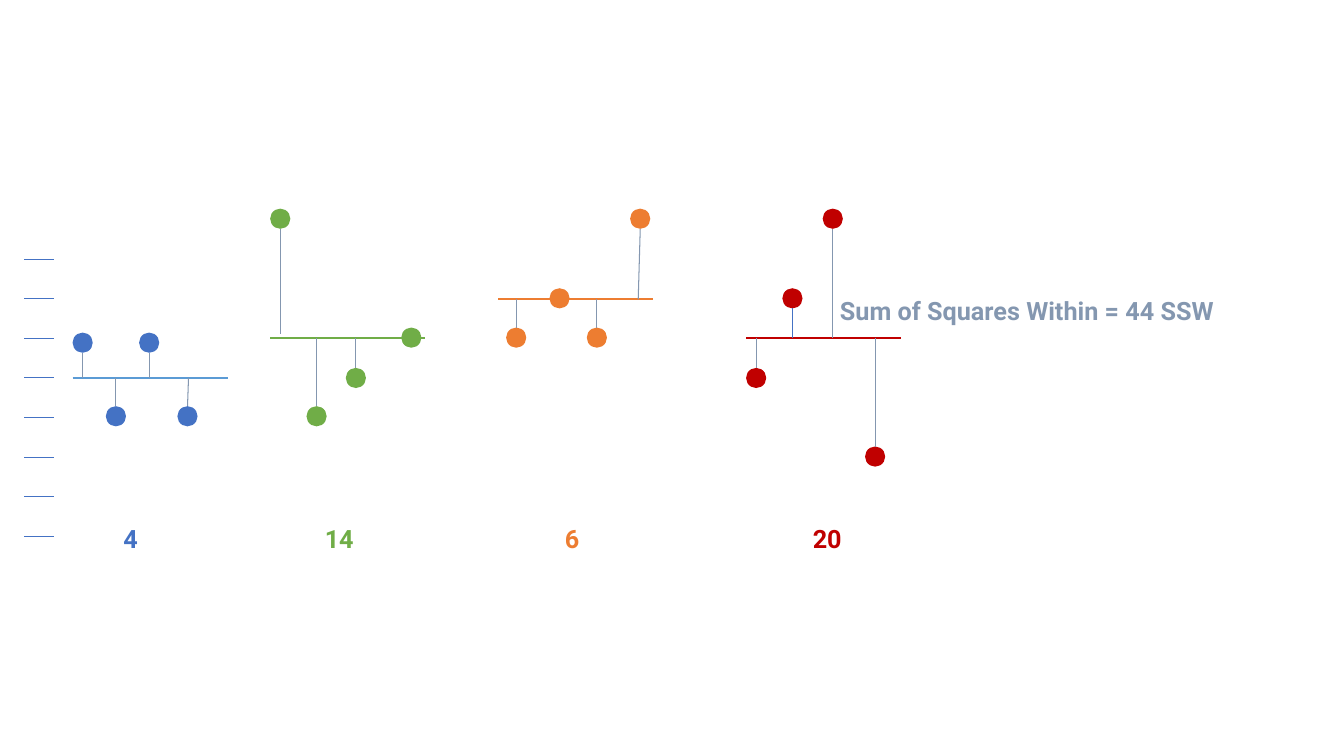
from collections import namedtuple
from lxml.etree import SubElement
from pptx import Presentation
from pptx.dml.color import RGBColor
from pptx.enum.shapes import MSO_CONNECTOR, MSO_SHAPE
from pptx.enum.text import MSO_AUTO_SIZE, PP_ALIGN
from pptx.oxml.ns import qn
from pptx.util import Inches, Pt

BLUE, GREEN, ORANGE, RED = "4472C4", "70AD47", "ED7D31", "C00000"
LIGHT_BLUE, GREY = "5B9BD5", "8497B0"
DOT = 0.2

Dot = namedtuple("Dot", "x y stem lean gap", defaults=(GREY, 0, 0))
Group = namedtuple("Group", "left color mean_color mean label_x label dots")


def rgb(value):
    return RGBColor.from_string(value)


def add_line(s, x1, y1, x2, y2, color, width):
    line = s.shapes.add_connector(
        MSO_CONNECTOR.STRAIGHT, Inches(x1), Inches(y1), Inches(x2), Inches(y2))
    line.line.color.rgb = rgb(color)
    line.line.width = Pt(width)
    SubElement(line._element.spPr, qn("a:effectLst"))


def add_dot(s, x, y, color):
    sp = s.shapes.add_shape(
        MSO_SHAPE.OVAL, Inches(x - DOT / 2), Inches(y - DOT / 2), Inches(DOT), Inches(DOT))
    sp.shadow.inherit = False
    sp.fill.solid()
    sp.fill.fore_color.rgb = rgb(color)
    sp.line.fill.background()


def add_text(s, text, left, top, width, height, color, size=18, bold=True, font="Roboto"):
    sp = s.shapes.add_textbox(Inches(left), Inches(top), Inches(width), Inches(height))
    tf = sp.text_frame
    tf.word_wrap = True
    tf.auto_size = MSO_AUTO_SIZE.SHAPE_TO_FIT_TEXT
    p = tf.paragraphs[0]
    p.alignment = PP_ALIGN.CENTER
    r = p.add_run()
    r.text = text
    r.font.name = font
    r.font.size = Pt(size)
    r.font.bold = bold
    r.font.color.rgb = rgb(color)


def add_scale(s, left, top, width, height, ticks=8):
    for i in range(ticks):
        y = top + i * height / (ticks - 1)
        add_line(s, left, y, left + width, y, BLUE, 0.5)


def add_group(s, group, top, width, label_top):
    left, mean_y = group.left, top + group.mean
    for dot in group.dots:
        add_dot(s, left + dot.x, top + dot.y, group.color)
    add_line(s, left, mean_y, left + width, mean_y, group.mean_color, 1.5)
    for dot in group.dots:
        if dot.stem:
            side = 1 if dot.y > group.mean else -1
            x = left + dot.x
            add_line(s, x + dot.lean, mean_y + side * dot.gap,
                     x, top + dot.y - side * DOT / 2, dot.stem, 0.75)
    add_text(s, group.label, left + group.label_x, top + label_top, 0.57, 0.4, group.color)


GROUPS = [
    Group(0.72, BLUE, LIGHT_BLUE, 1.68, 0.29, "4",
          [Dot(0.1, 1.33), Dot(0.43, 2.06), Dot(0.76, 1.33), Dot(1.14, 2.06, lean=0.01)]),
    Group(2.68, GREEN, GREEN, 1.28, 0.4, "14",
          [Dot(0.1, 0.1, gap=0.04), Dot(0.46, 2.06), Dot(0.85, 1.68), Dot(1.4, 1.28, None)]),
    Group(4.94, ORANGE, ORANGE, 0.9, 0.45, "6",
          [Dot(0.18, 1.28), Dot(0.61, 0.89, None), Dot(0.98, 1.28), Dot(1.41, 0.1, lean=-0.02)]),
    Group(7.4, RED, RED, 1.28, 0.52, "20",
          [Dot(0.1, 1.68), Dot(0.46, 0.89, BLUE), Dot(0.86, 0.1), Dot(1.28, 2.46)]),
]

prs = Presentation()
prs.slide_width, prs.slide_height = Inches(13.33), Inches(7.5)
s = prs.slides.add_slide(prs.slide_layouts[6])
add_scale(s, 0.24, 2.57, 0.3, 2.75)
for group in GROUPS:
    add_group(s, group, 2.07, 1.54, 3.07)
add_text(s, "Sum of Squares Within = 44 SSW", 8.06, 2.88, 4.25, 0.4, GREY)
prs.save("out.pptx")
